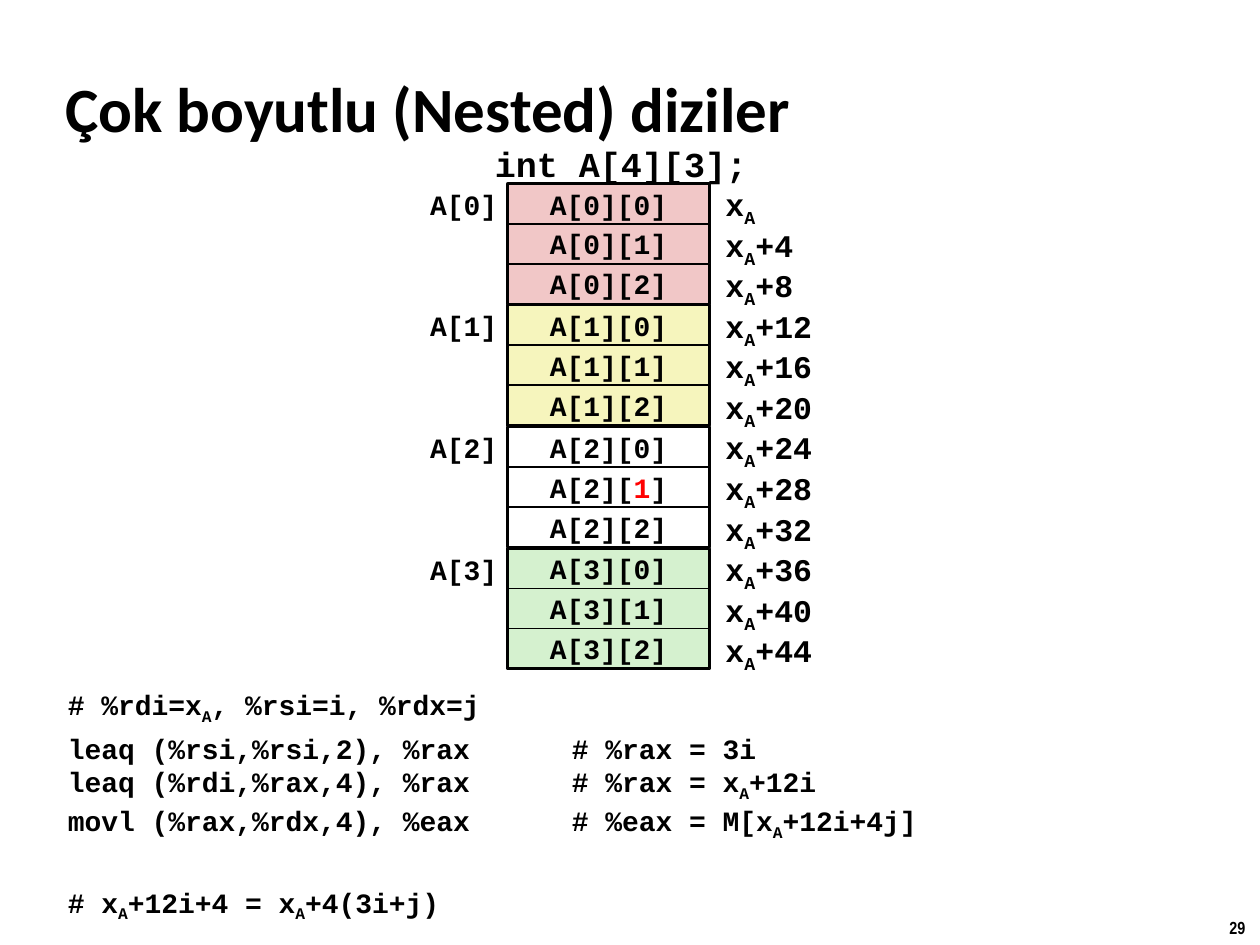
from lxml import etree
from pptx import Presentation
from pptx.dml.color import RGBColor
from pptx.enum.shapes import MSO_SHAPE
from pptx.enum.text import MSO_ANCHOR, PP_ALIGN
from pptx.oxml.ns import qn
from pptx.util import Inches, Pt

RECTANGLE = MSO_SHAPE.RECTANGLE
TOP, MIDDLE = MSO_ANCHOR.TOP, MSO_ANCHOR.MIDDLE
LEFT, CENTER, RIGHT = PP_ALIGN.LEFT, PP_ALIGN.CENTER, PP_ALIGN.RIGHT
BLACK, RED = "000000", "FF0000"

# Content; "_A" stands for a subscript A
TITLE = "Çok boyutlu (Nested) diziler"
DECLARATION = "int A[4][3];"
PAGE_NUMBER = "29"
# Fill and frame width of each array row
ARRAY_ROWS = [("F1C7C7", 2.25), ("F6F5BD", 2.25), ("FFFFFF", 2), ("D5F1CF", 2.25)]
COLUMNS = 3
INT_BYTES = 4
HIGHLIGHTED = (2, 1)
# Space before in points, then the lines of the paragraph
CODE = [
    (0, ["# %rdi=x_A, %rsi=i, %rdx=j"]),
    (3, ["leaq (%rsi,%rsi,2), %rax\t# %rax = 3i",
         "leaq (%rdi,%rax,4), %rax\t# %rax = x_A+12i",
         "movl (%rax,%rdx,4), %eax\t# %eax = M[x_A+12i+4j]"]),
    (25, ["# x_A+12i+4 = x_A+4(3i+j)"]),
]

# Grid in inches
SLIDE_WIDTH, SLIDE_HEIGHT = 10, 7.5
CELL_LEFT, CELL_WIDTH, CELL_HEIGHT = 4.03, 1.6, 0.32
ARRAY_TOP, ROW_PITCH = 1.46, 0.965
ROW_LABEL_LEFT, ROW_LABEL_WIDTH = 3.18, 1
ADDRESS_LEFT, ADDRESS_TOP, ADDRESS_PITCH = 5.66, 1.42, 0.322
CODE_LEFT, CODE_TOP, COMMENT_TAB = 0.44, 5.41, 4


def color(value):
    return RGBColor.from_string(value)


def add_span(para, text, size, font="Courier New", fill=BLACK, subscript=False):
    span = para.add_run()
    span.text = text
    for name, value in {"name": font, "size": Pt(size), "bold": True}.items():
        setattr(span.font, name, value)
    span.font.color.rgb = color(fill)
    if subscript:
        span._r.get_or_add_rPr().set("baseline", "-25000")


def add_marked_text(para, text, size, font="Courier New"):
    for index, piece in enumerate(text.split("_A")):
        if index:
            add_span(para, "A", size, font, subscript=True)
        if piece:
            add_span(para, piece, size, font)


def set_frame(box, anchor, align, wrap):
    frame = box.text_frame
    for name, value in {"vertical_anchor": anchor, "word_wrap": wrap}.items():
        setattr(frame, name, value)
    para = frame.paragraphs[0]
    para.alignment = align
    return para


def add_label(page, place, text, size, font="Courier New", anchor=TOP,
              align=LEFT, wrap=False):
    box = page.shapes.add_textbox(*map(Inches, place))
    add_marked_text(set_frame(box, anchor, align, wrap), text, size, font)


def add_rectangle(page, place, fill, line_width):
    box = page.shapes.add_shape(RECTANGLE, *map(Inches, place))
    box.shadow.inherit = False
    box.fill.solid()
    box.fill.fore_color.rgb = color(fill)
    box.line.color.rgb = color(BLACK)
    box.line.width = Pt(line_width)
    return box


def add_array(page):
    for row, (fill, frame_width) in enumerate(ARRAY_ROWS):
        top = ARRAY_TOP + row * ROW_PITCH
        height = COLUMNS * CELL_HEIGHT - 0.01
        add_rectangle(page, (CELL_LEFT, top, CELL_WIDTH, height), fill, frame_width)
        add_label(page, (ROW_LABEL_LEFT, top, ROW_LABEL_WIDTH, CELL_HEIGHT),
                  f"A[{row}]", 16, anchor=MIDDLE, align=CENTER)

        for column in range(COLUMNS):
            # Cell
            place = (CELL_LEFT, top + column * height / COLUMNS,
                     CELL_WIDTH, height / COLUMNS)
            para = set_frame(add_rectangle(page, place, fill, 1), MIDDLE, CENTER, False)
            index_color = RED if (row, column) == HIGHLIGHTED else BLACK
            add_span(para, f"A[{row}][", 16)
            add_span(para, str(column), 16, fill=index_color)
            add_span(para, "]", 16)

            # Address
            position = row * COLUMNS + column
            offset = f"+{position * INT_BYTES}" if position else ""
            add_label(page, (ADDRESS_LEFT, ADDRESS_TOP + position * ADDRESS_PITCH,
                             1.26, 0.4), "x_A" + offset, 18, wrap=True)


def add_tab_stop(para, position):
    stops = etree.SubElement(para._p.get_or_add_pPr(), qn("a:tabLst"))
    etree.SubElement(stops, qn("a:tab"), pos=str(Inches(position)), algn="l")


def add_code(page):
    box = page.shapes.add_textbox(Inches(CODE_LEFT), Inches(CODE_TOP), Inches(8.5),
                                  Inches(SLIDE_HEIGHT - CODE_TOP))
    para = set_frame(box, TOP, LEFT, True)
    for number, (space_before, lines) in enumerate(CODE):
        if number:
            para = box.text_frame.add_paragraph()
            para.space_before = Pt(space_before)
        add_tab_stop(para, COMMENT_TAB)
        for index, line in enumerate(lines):
            if index:
                para.add_line_break()
            add_marked_text(para, line, 16)


def main():
    deck = Presentation()
    deck.slide_width, deck.slide_height = Inches(SLIDE_WIDTH), Inches(SLIDE_HEIGHT)
    page = deck.slides.add_slide(deck.slide_layouts[6])

    # Page number, title and declaration
    add_label(page, (9.66, 7.23, 0.34, 0.27), PAGE_NUMBER, 10, "Arial Narrow")
    add_label(page, (0.42, 0.54, 8.83, 0.63), TITLE, 36, "Calibri", MIDDLE, wrap=True)
    add_label(page, (3.81, 1.08, 2.22, 0.44), DECLARATION, 20, align=RIGHT)

    add_array(page)
    add_code(page)
    deck.save("out.pptx")


if __name__ == "__main__":
    main()
